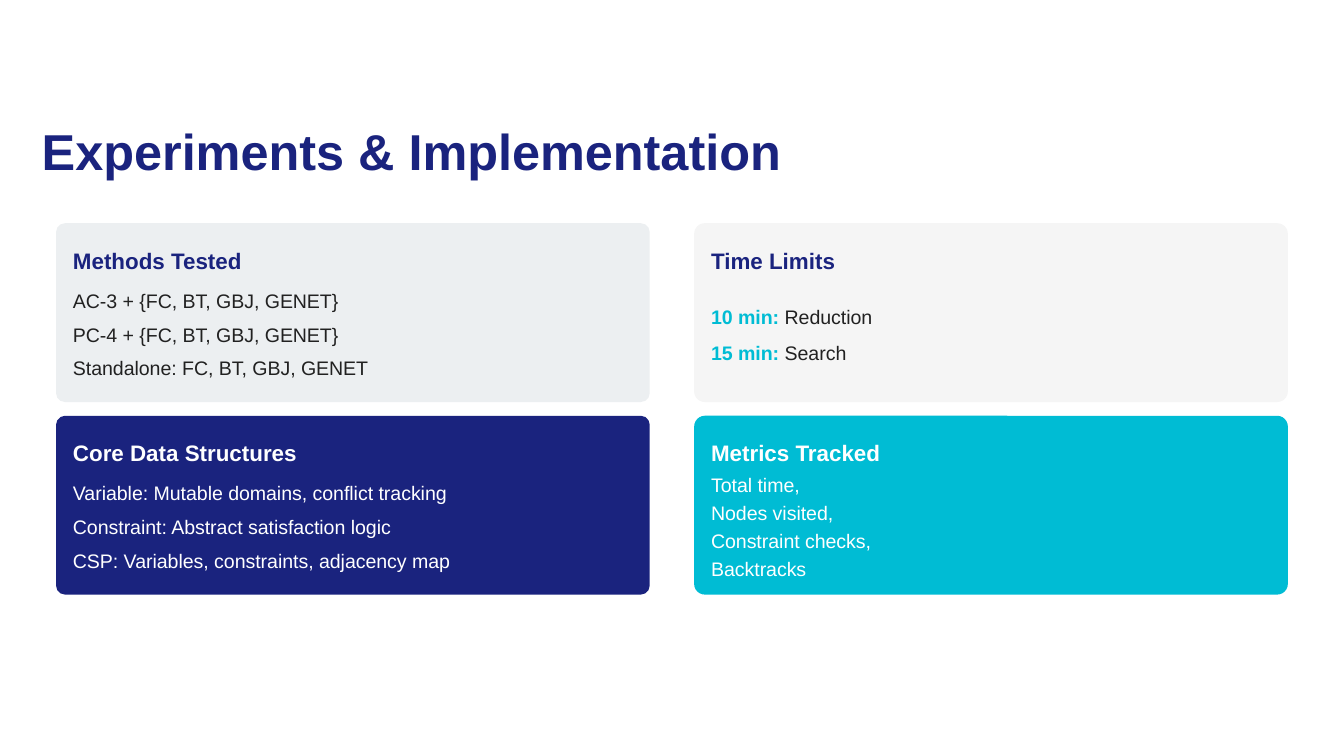
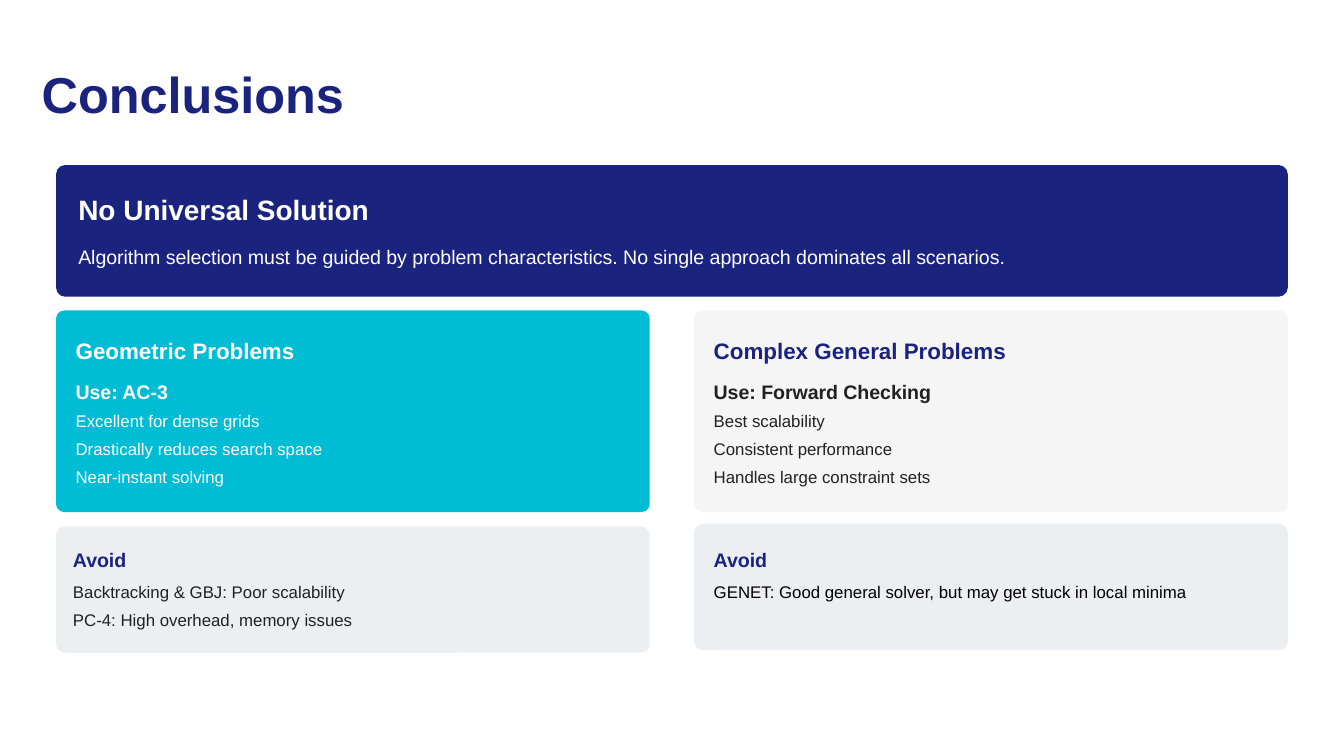
from pptx import Presentation
from pptx.dml.color import RGBColor
from pptx.enum.shapes import MSO_SHAPE
from pptx.util import Cm, Pt

ROUNDED = MSO_SHAPE.ROUNDED_RECTANGLE

COLORS = {
    "navy": "1A237E",
    "cyan": "00BCD4",
    "mist": "ECEFF1",
    "pale": "F5F5F5",
    "ink": "212121",
    "black": "000000",
    "white": "FFFFFF",
}
FONT = "Arial"
LINE_HEIGHTS = {27: 30, 15: 21, 12: 18, 10.5: 15, 9: 12}  # font size: line, in points
CM_PER_POINT = 2.54 / 72

# Grid, in centimetres
SLIDE_WIDTH, SLIDE_HEIGHT = 25.4, 14.29
TITLE_LEFT = 0.79
LEFT, RIGHT = 1.06, 13.12
CARD_WIDTH = 11.22
BANNER_WIDTH = RIGHT + CARD_WIDTH - LEFT
TEXT_WIDTH = 10.8


class Deck:
    def __init__(self):
        self.presentation = Presentation()
        self.presentation.slide_width = Cm(SLIDE_WIDTH)
        self.presentation.slide_height = Cm(SLIDE_HEIGHT)
        self.slide = None

    def color(self, name):
        return RGBColor.from_string(COLORS[name])

    def new_slide(self, title, top, width):
        self.slide = self.presentation.slides.add_slide(self.presentation.slide_layouts[6])
        fill = self.slide.background.fill
        fill.solid()
        fill.fore_color.rgb = self.color("white")
        self.text(TITLE_LEFT, top, width, [(title, "navy", True)], 27)

    def text(self, left, top, width, runs, size):
        """One paragraph of (text, color, bold) runs; a newline is a line break."""
        line_height = LINE_HEIGHTS[size]
        line_count = 1 + sum(text.count("\n") for text, _, _ in runs)
        box = self.slide.shapes.add_textbox(
            Cm(left), Cm(top), Cm(width), Cm(line_height * line_count * CM_PER_POINT))
        frame = box.text_frame
        frame.word_wrap = True
        frame.margin_left = frame.margin_right = frame.margin_top = frame.margin_bottom = 0
        paragraph = frame.paragraphs[0]
        paragraph.line_spacing = Pt(line_height)
        for text, color, bold in runs:
            for index, line in enumerate(text.split("\n")):
                if index:
                    paragraph.add_line_break()
                run = paragraph.add_run()
                run.text = line
                run.font.name = FONT
                run.font.size = Pt(size)
                run.font.bold = bold
                run.font.color.rgb = self.color(color)

    def rows(self, left, top, pitch, rows, size, width=TEXT_WIDTH):
        """Evenly spaced rows, each a list of runs."""
        for index, runs in enumerate(rows):
            self.text(left, top + index * pitch, width, runs, size)

    def card(self, left, top, height, radius, fill, heading, heading_color,
             inset=0.32, size=12, width=CARD_WIDTH, text_width=TEXT_WIDTH):
        """Rounded panel with a bold heading; returns the left edge of its text."""
        shape = self.slide.shapes.add_shape(ROUNDED, Cm(left), Cm(top), Cm(width), Cm(height))
        shape.shadow.inherit = False
        shape.adjustments[0] = radius
        shape.fill.solid()
        shape.fill.fore_color.rgb = self.color(fill)
        shape.line.fill.background()
        self.text(left + inset, top + inset, text_width, [(heading, heading_color, True)], size)
        return left + inset


def plain(color, *texts):
    return [[(text, color, False)] for text in texts]


def build_experiments(deck):
    deck.new_slide("Experiments & Implementation", 2.36, 14.27)
    top, bottom, height = 4.22, 7.86, 3.38

    # Methods and data structures
    for card_top, fill, heading, heading_color, color, lines in (
        (top, "mist", "Methods Tested", "navy", "ink",
         ("AC-3 + {FC, BT, GBJ, GENET}", "PC-4 + {FC, BT, GBJ, GENET}",
          "Standalone: FC, BT, GBJ, GENET")),
        (bottom, "navy", "Core Data Structures", "white", "white",
         ("Variable: Mutable domains, conflict tracking",
          "Constraint: Abstract satisfaction logic",
          "CSP: Variables, constraints, adjacency map")),
    ):
        left = deck.card(LEFT, card_top, height, 0.05, fill, heading, heading_color)
        deck.rows(left, card_top + 1.15, 0.64, plain(color, *lines), 10.5)

    # Time limits
    left = deck.card(RIGHT, top, height, 0.06, "pale", "Time Limits", "navy")
    limits = (("10 min:", " Reduction"), ("15 min:", " Search"))
    deck.rows(left, top + 1.45, 0.69,
              [[(limit, "cyan", True), (stage, "ink", False)] for limit, stage in limits], 10.5)

    # Metrics
    left = deck.card(RIGHT, bottom, height, 0.06, "cyan", "Metrics Tracked", "white")
    metrics = "Total time,\nNodes visited,\nConstraint checks,\nBacktracks"
    deck.rows(left, bottom + 0.99, 0, plain("white", metrics), 10.5)


def build_conclusions(deck):
    deck.new_slide("Conclusions", 1.27, 12.17)

    # Main message
    top = 3.12
    left = deck.card(LEFT, top, 2.49, 0.07, "navy", "No Universal Solution", "white",
                     inset=0.42, size=15, width=BANNER_WIDTH, text_width=11.48)
    message = ("Algorithm selection must be guided by problem characteristics. "
               "No single approach dominates all scenarios.")
    deck.rows(left, top + 1.43, 0, plain("white", message), 10.5, width=22.89)

    # Recommended methods
    top, text_width = 5.87, 10.69
    for column, fill, heading, heading_color, color, method, reasons in (
        (LEFT, "cyan", "Geometric Problems", "white", "white", "Use: AC-3",
         ("Excellent for dense grids", "Drastically reduces search space",
          "Near-instant solving")),
        (RIGHT, "pale", "Complex General Problems", "navy", "ink", "Use: Forward Checking",
         ("Best scalability", "Consistent performance", "Handles large constraint sets")),
    ):
        left = deck.card(column, top, 3.81, 0.04, fill, heading, heading_color,
                         inset=0.37, text_width=text_width)
        deck.text(left, top + 1.22, text_width, [(method, color, True)], 10.5)
        deck.rows(left, top + 1.85, 0.53, plain(color, *reasons), 9, width=text_width)

    # Methods to avoid
    for column, top, inset, color, warnings in (
        (LEFT, 9.95, 0.32, "ink",
         ("Backtracking & GBJ: Poor scalability", "PC-4: High overhead, memory issues")),
        (RIGHT, 9.9, 0.37, "black",
         ("GENET: Good general solver, but may get stuck in local minima",)),
    ):
        left = deck.card(column, top, 2.39, 0.07, "mist", "Avoid", "navy", inset=inset, size=10.5)
        deck.rows(left, top + inset + 0.68, 0.53, plain(color, *warnings), 9)


def main():
    deck = Deck()
    build_experiments(deck)
    build_conclusions(deck)
    deck.presentation.save("out.pptx")


if __name__ == "__main__":
    main()
